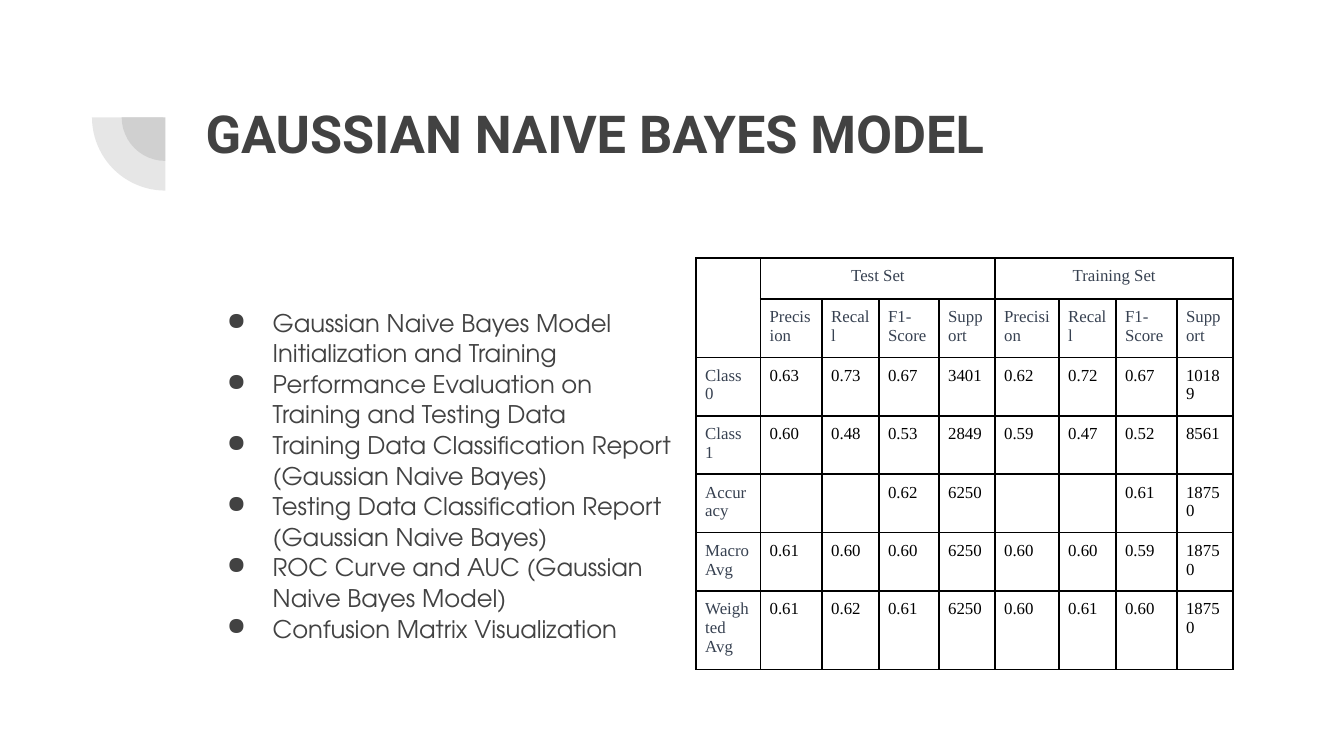
from lxml.etree import SubElement as Sub
from pptx import Presentation
from pptx.dml.color import RGBColor as Rgb
from pptx.enum.shapes import MSO_SHAPE as Kind
from pptx.enum.text import PP_ALIGN as Align
from pptx.oxml.ns import qn
from pptx.util import Pt

GREY = Rgb(0x42, 0x42, 0x42)
SLATE = Rgb(0x37, 0x41, 0x51)
BLACK = Rgb(0, 0, 0)

POINTS = [
    "Gaussian Naive Bayes Model Initialization and Training",
    "Performance Evaluation on Training and Testing Data",
    "Training Data Classification Report (Gaussian Naive Bayes)",
    "Testing Data Classification Report (Gaussian Naive Bayes)",
    "ROC Curve and AUC (Gaussian Naive Bayes Model)",
    "Confusion Matrix Visualization",
]
HEADS = ["Precision", "Recall", "F1-Score", "Support"]
ROWS = [
    ["", "Test Set", "", "", "", "Training Set", "", "", ""],
    ["", *HEADS, *HEADS],
    ["Class 0", "0.63", "0.73", "0.67", "3401", "0.62", "0.72", "0.67", "10189"],
    ["Class 1", "0.60", "0.48", "0.53", "2849", "0.59", "0.47", "0.52", "8561"],
    ["Accuracy", "", "", "0.62", "6250", "", "", "0.61", "18750"],
    ["Macro\nAvg", "0.61", "0.60", "0.60", "6250", "0.60", "0.60", "0.59", "18750"],
    ["Weighted\nAvg", "0.61", "0.62", "0.61", "6250", "0.60", "0.61", "0.60", "18750"],
]
WIDTHS = [34.5, 33, 30.5, 32.2, 30, 34.3, 30.5, 32.7, 30]
HEIGHTS = [22] + [30] * 5 + [40]


def write(frame, text, font, size, color, bold=False, align=None, space=None, bullet=None):
    for i, line in enumerate(text.split("\n")):
        para = frame.add_paragraph() if i else frame.paragraphs[0]
        para.alignment = align
        para.line_spacing = space
        if bullet:
            props = para._p.get_or_add_pPr()
            props.set("marL", str(Pt(36)))
            props.set("indent", str(-Pt(24.5)))
            Sub(props, qn("a:buChar"), char=bullet)
        if not line:
            para._p.get_or_add_endParaRPr().set("sz", str(size * 100))
            continue
        run = para.add_run()
        run.text = line
        run.font.name = font
        run.font.size = Pt(size)
        run.font.bold = bold
        run.font.color.rgb = color


def add_text(slide, text, left, top, width, height, **style):
    frame = slide.shapes.add_textbox(Pt(left), Pt(top), Pt(width), Pt(height)).text_frame
    frame.word_wrap = True
    frame.margin_left = frame.margin_right = Pt(7.2)
    frame.margin_top = frame.margin_bottom = Pt(7.2)
    write(frame, text, **style)


def add_pie(slide, mid_x, mid_y, size):
    pie = slide.shapes.add_shape(
        Kind.PIE, Pt(mid_x - size / 2), Pt(mid_y - size / 2), Pt(size), Pt(size))
    pie.adjustments[0] = 108
    pie.adjustments[1] = 162
    pie.rotation = 270
    pie.shadow.inherit = False
    pie.line.fill.background()
    pie.fill.solid()
    pie.fill.fore_color.rgb = GREY
    tint = pie.fill._xPr.find(qn("a:solidFill"))[0]
    Sub(tint, qn("a:alpha"), val="13000")


def frame_cell(cell):
    props = cell._tc.get_or_add_tcPr()
    for side in ("lnL", "lnR", "lnT", "lnB"):
        line = Sub(props, qn(f"a:{side}"), w=str(Pt(1)))
        fill = Sub(line, qn("a:solidFill"))
        Sub(fill, qn("a:srgbClr"), val=str(BLACK))
    cell.fill.background()
    cell.margin_left = cell.margin_right = Pt(4.8)
    cell.margin_top = cell.margin_bottom = Pt(4.8)


def add_grid(slide, left, top):
    grid = slide.shapes.add_table(
        len(ROWS), len(WIDTHS), Pt(left), Pt(top), Pt(sum(WIDTHS)), Pt(sum(HEIGHTS))).table
    grid.first_row = grid.horz_banding = False
    for col, width in zip(grid.columns, WIDTHS):
        col.width = Pt(width)
    for row, height in zip(grid.rows, HEIGHTS):
        row.height = Pt(height)
    for r, row in enumerate(ROWS):
        for c, text in enumerate(row):
            cell = grid.cell(r, c)
            frame_cell(cell)
            write(cell.text_frame, text, font="Times New Roman", size=9,
                  color=SLATE if r < 2 or c == 0 else BLACK,
                  align=Align.CENTER if r == 0 else None)
    grid.cell(0, 0).merge(grid.cell(1, 0))
    for c in (1, 5):
        grid.cell(0, c).merge(grid.cell(0, c + 3))


def main():
    deck = Presentation()
    deck.slide_width, deck.slide_height = Pt(720), Pt(405)
    slide = deck.slides.add_slide(deck.slide_layouts[6])
    for size in (46.8, 78.6):
        add_pie(slide, 88.6, 62.8, size)
    add_text(slide, "GAUSSIAN NAIVE BAYES MODEL", 103, 46.8, 553.7, 78.5,
             font="Roboto", size=28, color=GREY, bold=True)
    add_text(slide, "\n".join(POINTS), 103, 157, 270, 200,
             font="TeX Gyre Adventor", size=13, color=GREY, space=1.05, bullet="●")
    add_grid(slide, 373, 138.2)
    deck.save("out.pptx")


if __name__ == "__main__":
    main()
